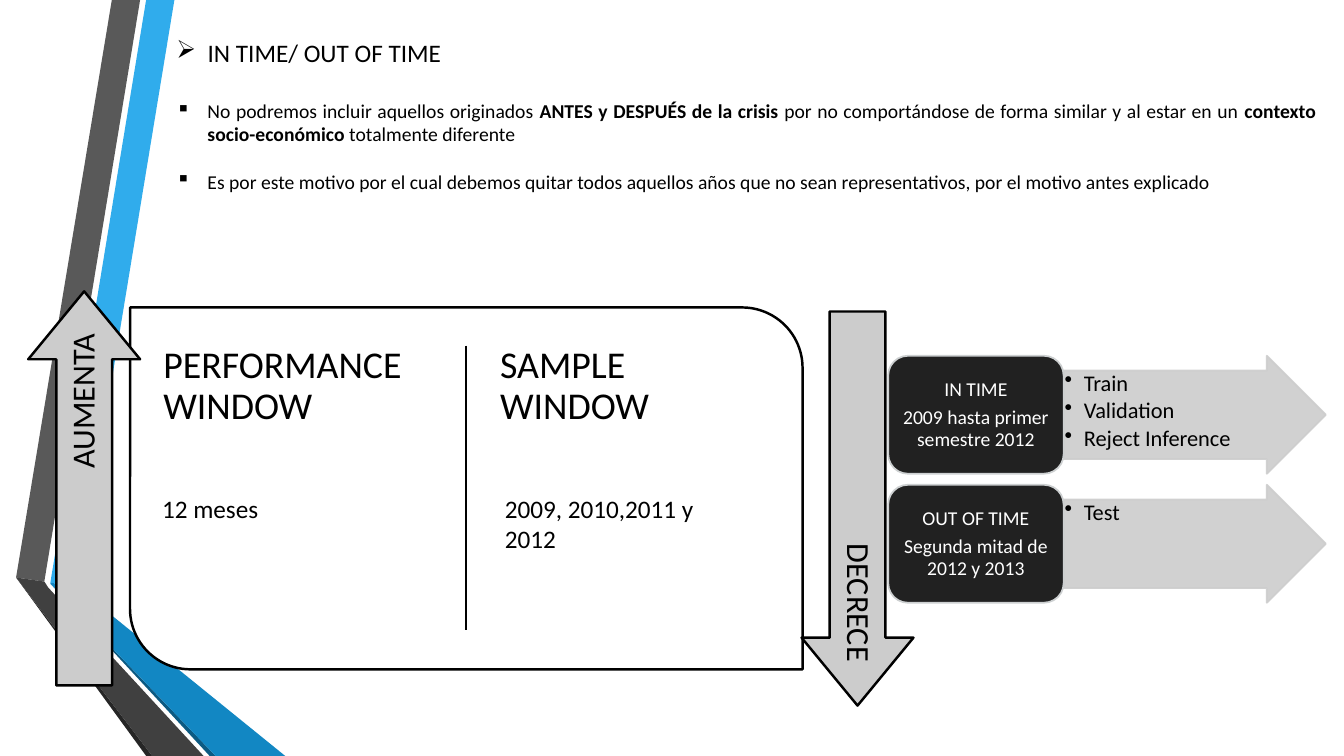
from collections import namedtuple

from lxml import etree
from pptx import Presentation
from pptx import util as u
from pptx.dml.color import RGBColor
from pptx.enum import shapes, text
from pptx.oxml import ns

BLACK = RGBColor(0x00, 0x00, 0x00)
WHITE = RGBColor(0xFF, 0xFF, 0xFF)
SKY = RGBColor(0x30, 0xAC, 0xEC)
BLUE = RGBColor(0x12, 0x87, 0xC3)
NAVY = RGBColor(0x0C, 0x5A, 0x82)
GRAY = RGBColor(0x59, 0x59, 0x59)
DARK_GRAY = RGBColor(0x40, 0x40, 0x40)
CHARCOAL = RGBColor(0x26, 0x26, 0x26)
CARD = RGBColor(0x21, 0x21, 0x21)
CARD_EDGE = RGBColor(0xCD, 0xD0, 0xD1)
ARROW = RGBColor(0xCC, 0xCC, 0xCC)
PALE_ARROW = RGBColor(0xCD, 0xCD, 0xCD)

Box = namedtuple("Box", "left top width height")

RIBBONS = [
    (SKY, [(0.5, 5.78), (0.77, 5.83), (1.73, 0), (1.45, 0)]),
    (GRAY, [(1.39, 0), (1.11, 0), (0.16, 5.73), (0.44, 5.77)]),
    (CHARCOAL, [(0.16, 5.73), (1.45, 7.5), (1.51, 7.5)]),
    (NAVY, [(0.5, 5.79), (2.08, 7.5), (2.14, 7.5)]),
    (BLUE, [(0.5, 5.79), (2.14, 7.5), (2.83, 7.5), (0.77, 5.83), (0.5, 5.78)]),
    (DARK_GRAY, [(2.02, 7.5), (0.48, 5.83), (0.44, 5.77), (0.16, 5.73), (1.51, 7.5)]),
]
HEADING = "IN TIME/ OUT OF TIME"
NOTES = [
    [("No podremos incluir aquellos originados ", False),
     ("ANTES y DESPUÉS de la crisis ", True),
     ("por no comportándose de forma similar y al estar en un ", False),
     ("contexto socio-económico ", True),
     ("totalmente diferente", False)],
    "Es por este motivo por el cual debemos quitar todos aquellos años que no sean "
    "representativos, por el motivo antes explicado",
]
WINDOWS = [
    ("PERFORMANCE WINDOW", "12 meses", 0.22, 0.22),
    ("SAMPLE WINDOW", "2009, 2010,2011 y 2012", 3.56, 3.62),
]
PERIODS = [
    (["IN TIME", "2009 hasta primer semestre 2012"], ["Train", "Validation", "Reject Inference"]),
    (["OUT OF TIME", "Segunda mitad de 2012 y 2013"], ["Test"]),
]


def inches(box):
    return [u.Inches(value) for value in box]


def add_bullet(paragraph, symbol, indent):
    properties = paragraph._p.get_or_add_pPr()
    properties.set("marL", str(u.Inches(indent)))
    properties.set("indent", str(-u.Inches(indent)))
    etree.SubElement(properties, ns.qn("a:buChar")).set("char", symbol)


def write_text(frame, lines, size, color=BLACK, bullet=None, indent=0.31,
               insets=(0.1, 0.05), anchor=text.MSO_ANCHOR.TOP, **spacing):
    across, down = map(u.Inches, insets)
    frame_format = {"word_wrap": True, "vertical_anchor": anchor,
                    "auto_size": text.MSO_AUTO_SIZE.NONE,
                    "margin_left": across, "margin_right": across,
                    "margin_top": down, "margin_bottom": down}
    for name, value in frame_format.items():
        setattr(frame, name, value)
    for index, line in enumerate(lines):
        paragraph = frame.add_paragraph() if index else frame.paragraphs[0]
        for name, value in spacing.items():
            setattr(paragraph, name, value)
        if bullet:
            add_bullet(paragraph, bullet, indent)
        for words, bold in [(line, False)] if isinstance(line, str) else line:
            run = paragraph.add_run()
            run.text = words
            run.font.color.rgb = color
            font_format = {"name": "Calibri", "size": u.Pt(size), "bold": bold}
            for name, value in font_format.items():
                setattr(run.font, name, value)


def add_text(slide, box, lines, size, rotation=0, **options):
    shape = slide.shapes.add_textbox(*inches(box))
    shape.rotation = rotation
    write_text(shape.text_frame, lines, size, **options)


def add_block(slide, kind, box, fill, edge, width, adjustments=(), rotation=0):
    shape = slide.shapes.add_shape(kind, *inches(box))
    shape.shadow.inherit = False
    shape.rotation = rotation
    for index, value in enumerate(adjustments):
        shape.adjustments[index] = value
    shape.fill.solid()
    shape.fill.fore_color.rgb = fill
    shape.line.color.rgb = edge
    shape.line.width = u.Pt(width)
    return shape


def set_alpha(shape, percent):
    for color in shape._element.spPr.iter(ns.qn("a:srgbClr")):
        etree.SubElement(color, ns.qn("a:alpha")).set("val", str(percent * 1000))


def draw_ribbons(slide):
    for color, points in RIBBONS:
        start, *others = [(u.Inches(x), u.Inches(y)) for x, y in points]
        builder = slide.shapes.build_freeform(*start)
        builder.add_line_segments(others, close=True)
        ribbon = builder.convert_to_shape()
        ribbon.shadow.inherit = False
        ribbon.fill.solid()
        ribbon.fill.fore_color.rgb = color
        ribbon.line.fill.background()


def draw_heading(slide, box):
    title = slide.shapes.title
    title.left, title.top, title.width, title.height = inches(box._replace(height=0.4))
    write_text(title.text_frame, [HEADING], 18, bullet="➢", alignment=text.PP_ALIGN.LEFT)
    notes_box = Box(box.left, box.top + 0.61, box.width, box.height - 0.61)
    add_text(slide, notes_box, NOTES, 14, bullet="▪",
             alignment=text.PP_ALIGN.JUSTIFY, space_after=u.Pt(17))


def draw_windows(slide, box):
    add_block(slide, shapes.MSO_SHAPE.ROUND_2_DIAG_RECTANGLE, box, WHITE, BLACK, 1.75, (0, 0.167))
    middle = u.Inches(box.left + box.width / 2)
    divider = slide.shapes.add_connector(
        shapes.MSO_CONNECTOR.STRAIGHT, middle, u.Inches(box.top + 0.38),
        middle, u.Inches(box.top + 3.2))
    divider.line.color.rgb = BLACK
    divider.line.width = u.Pt(1.25)
    etree.SubElement(divider._element.spPr, ns.qn("a:effectLst"))
    for name, detail, name_offset, detail_offset in WINDOWS:
        add_text(slide, Box(box.left + name_offset, box.top + 0.27, 2.89, 3.04), [name], 27,
                 insets=(0.11, 0.11), line_spacing=0.9)
        add_text(slide, Box(box.left + detail_offset, box.top + 1.79, 2.53, 0.71), [detail], 18)


def draw_trend_arrow(slide, box, label, rotation, label_shift):
    center_x = box.left + box.width / 2
    center_y = box.top + box.height / 2
    arrow_box = Box(center_x - box.height / 2, center_y - box.width / 2, box.height, box.width)
    add_block(slide, shapes.MSO_SHAPE.RIGHT_ARROW, arrow_box, ARROW, BLACK, 1.75,
              (0.498, 0.607), rotation)
    label_box = Box(center_x - 1.79, center_y + label_shift - 0.275, 3.58, 0.55)
    add_text(slide, label_box, [label], 23, rotation, insets=(0.1, 0.1),
             anchor=text.MSO_ANCHOR.MIDDLE, alignment=text.PP_ALIGN.RIGHT, line_spacing=0.9)


def draw_period(slide, box, card_lines, samples):
    card_box = box._replace(width=1.74)
    arrow_box = Box(box.left + 1.74, box.top, box.width - 1.74, box.height)
    arrow = add_block(slide, shapes.MSO_SHAPE.RIGHT_ARROW, arrow_box, PALE_ARROW, PALE_ARROW,
                      1.25, (0.75, 0.5))
    set_alpha(arrow, 90)
    add_text(slide, Box(arrow_box.left, box.top + 0.15, 2.17, 0.87), samples, 16,
             bullet="•", indent=0.19, insets=(0.01, 0.01),
             line_spacing=0.9, space_after=u.Pt(2.5))
    card = add_block(slide, shapes.MSO_SHAPE.ROUNDED_RECTANGLE, card_box, CARD, CARD_EDGE, 1.25)
    write_text(card.text_frame, card_lines, 14, WHITE, insets=(0.07, 0.05),
               anchor=text.MSO_ANCHOR.MIDDLE, alignment=text.PP_ALIGN.CENTER,
               line_spacing=0.9, space_after=u.Pt(5.5))


def main():
    presentation = Presentation()
    presentation.slide_width = u.Inches(13.33)
    presentation.slide_height = u.Inches(7.5)
    slide = presentation.slides.add_slide(presentation.slide_layouts.get_by_name("Title Only"))
    draw_ribbons(slide)
    draw_heading(slide, Box(1.65, 0.32, 11.5, 1.88))
    draw_windows(slide, Box(1.29, 3.05, 6.67, 3.59))
    draw_trend_arrow(slide, Box(0.28, 2.89, 1.11, 3.91), "AUMENTA", 270, 0.16)
    draw_trend_arrow(slide, Box(7.95, 3.09, 1.11, 3.91), "DECRECE", 90, -0.17)
    for row, (card_lines, samples) in enumerate(PERIODS):
        draw_period(slide, Box(8.81, 3.53 + 1.28 * row, 4.34, 1.17), card_lines, samples)
    presentation.save("out.pptx")


if __name__ == "__main__":
    main()
